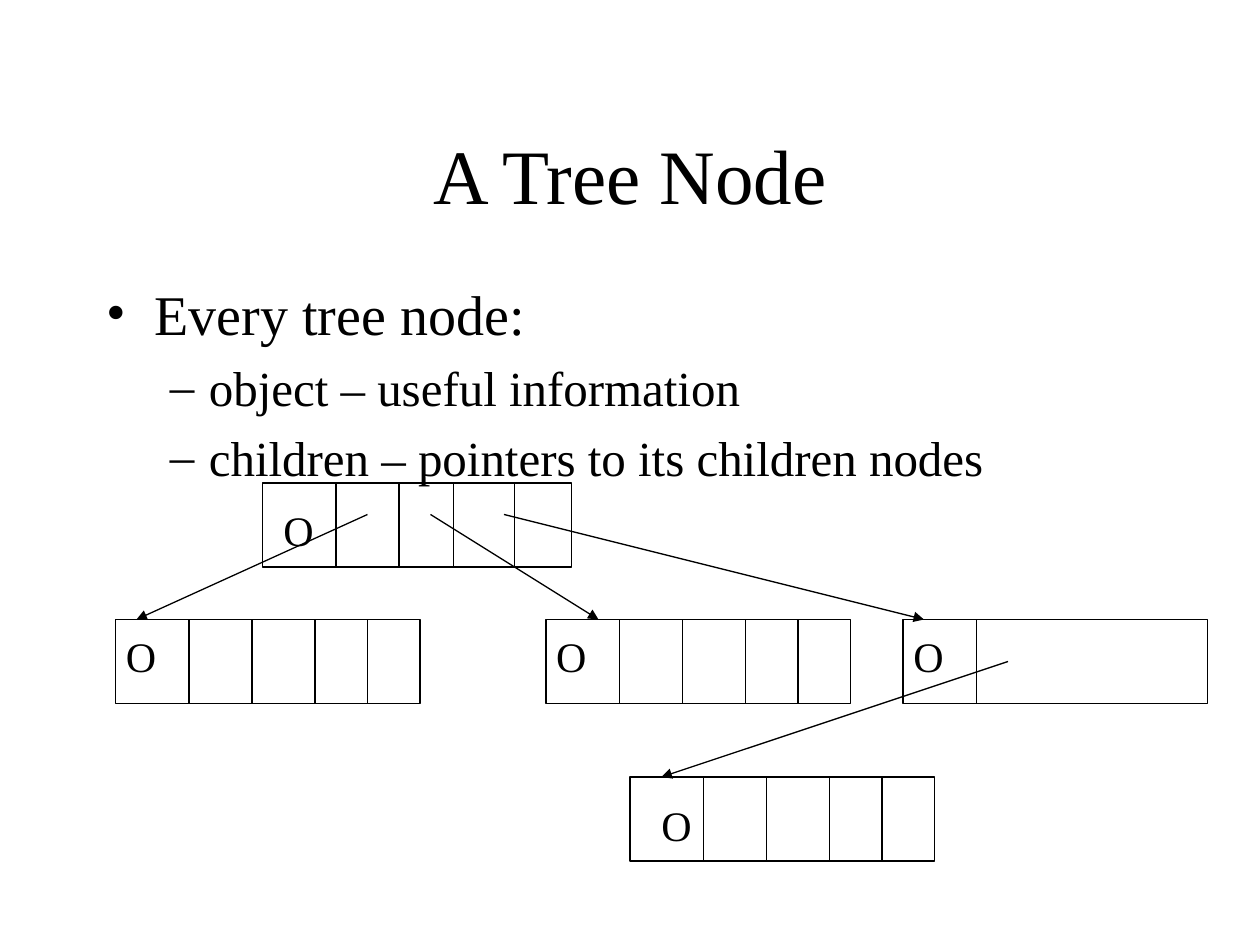
from lxml import etree
from pptx import Presentation
from pptx.dml.color import RGBColor
from pptx.enum.shapes import MSO_CONNECTOR, MSO_SHAPE
from pptx.enum.text import MSO_ANCHOR, MSO_AUTO_SIZE, PP_ALIGN
from pptx.oxml.ns import qn
from pptx.util import Inches, Pt

STRAIGHT = MSO_CONNECTOR.STRAIGHT
RECTANGLE = MSO_SHAPE.RECTANGLE
MIDDLE = MSO_ANCHOR.MIDDLE
TOP = MSO_ANCHOR.TOP
FIT_SHAPE = MSO_AUTO_SIZE.SHAPE_TO_FIT_TEXT
CENTER = PP_ALIGN.CENTER

COLORS = {"ink": "000000"}
COLUMNS, ROWS = 120, 90
NODE_HEIGHT = 8
TITLE_ONLY = 5


class TreeSlide:
    font = "Times New Roman"
    line_width = Pt(0.75)
    ink = RGBColor.from_string(COLORS["ink"])

    def __init__(self, deck):
        self.page = deck.slides.add_slide(deck.slide_layouts[TITLE_ONLY])
        self.column = deck.slide_width / COLUMNS
        self.row = deck.slide_height / ROWS

    def place(self, *lengths):
        units = (self.column, self.row) * 2
        return [round(length * unit) for length, unit in zip(lengths, units)]

    def format_text(self, para, size):
        for span in para.runs:
            span.font.name = self.font
            span.font.size = Pt(size)
            span.font.color.rgb = self.ink

    def title(self, text, *area):
        box = self.page.shapes.title
        box.left, box.top, box.width, box.height = self.place(*area)
        box.text_frame.text = text
        box.text_frame.vertical_anchor = MIDDLE
        para = box.text_frame.paragraphs[0]
        para.alignment = CENTER
        self.format_text(para, 44)

    def bullets(self, items, *area):
        levels = [(32, "•", 0.38, 0.38), (28, "–", 0.81, 0.31)]
        frame = self.page.shapes.add_textbox(*self.place(*area)).text_frame
        frame.word_wrap = True
        frame.vertical_anchor = TOP
        frame.text = "\n".join(text for level, text in items)
        for para, (level, text) in zip(frame.paragraphs, items):
            size, mark, margin, hanging = levels[level]
            para.level = level
            para.space_before = Pt(round(size * 0.23, 1))
            self.format_text(para, size)
            properties = para._p.get_or_add_pPr()
            properties.set("marL", str(Inches(margin)))
            properties.set("indent", str(-Inches(hanging)))
            etree.SubElement(properties, qn("a:buFont"), typeface=self.font)
            etree.SubElement(properties, qn("a:buChar"), char=mark)

    def line(self, start, end, arrow=False):
        connector = self.page.shapes.add_connector(
            STRAIGHT, *self.place(*start, *end))
        connector.line.color.rgb = self.ink
        connector.line.width = self.line_width
        if arrow:
            outline = connector.line._get_or_add_ln()
            etree.SubElement(outline, qn("a:tailEnd"), type="triangle")
        etree.SubElement(connector._element.spPr, qn("a:effectLst"))

    def label(self, text, left, top):
        box = self.page.shapes.add_textbox(*self.place(left, top, 5.3, 6))
        frame = box.text_frame
        frame.word_wrap = False
        frame.auto_size = FIT_SHAPE
        frame.text = text
        self.format_text(frame.paragraphs[0], 24)

    def node(self, left, top, width, dividers, label_offset):
        box = self.page.shapes.add_shape(
            RECTANGLE, *self.place(left, top, width, NODE_HEIGHT))
        box.shadow.inherit = False
        box.fill.background()
        box.line.color.rgb = self.ink
        box.line.width = self.line_width
        for offset in dividers:
            x = left + offset
            self.line((x, top), (x, top + NODE_HEIGHT))
        self.label("O", left + label_offset[0], top + label_offset[1])


def main():
    deck = Presentation()
    deck.slide_width, deck.slide_height = Inches(10), Inches(7.5)
    slide = TreeSlide(deck)
    slide.title("A Tree Node", 9, 9, 102, 15)
    slide.bullets([
        (0, "Every tree node:"),
        (1, "object – useful information"),
        (1, "children – pointers to its children nodes"),
    ], 9, 26, 102, 54)

    cells = (7, 13, 19, 24)
    nodes = [
        (25, 46, 29.4, (7, 13, 18.2, 24), (0.8, 1.5)),
        (11, 59, 29, cells, (-0.2, 0.5)),
        (52, 59, 29, cells, (-0.2, 0.5)),
        (86, 59, 29, cells[:1], (-0.2, 0.5)),
        (60, 74, 29, cells, (1.8, 1.6)),
    ]
    for node in nodes:
        slide.node(*node)

    pointers = [
        ((35, 49), (13, 59)),
        ((41, 49), (57, 59)),
        ((48, 49), (88, 59)),
        ((96, 63), (63, 74)),
    ]
    for start, end in pointers:
        slide.line(start, end, arrow=True)
    deck.save("out.pptx")


if __name__ == "__main__":
    main()
